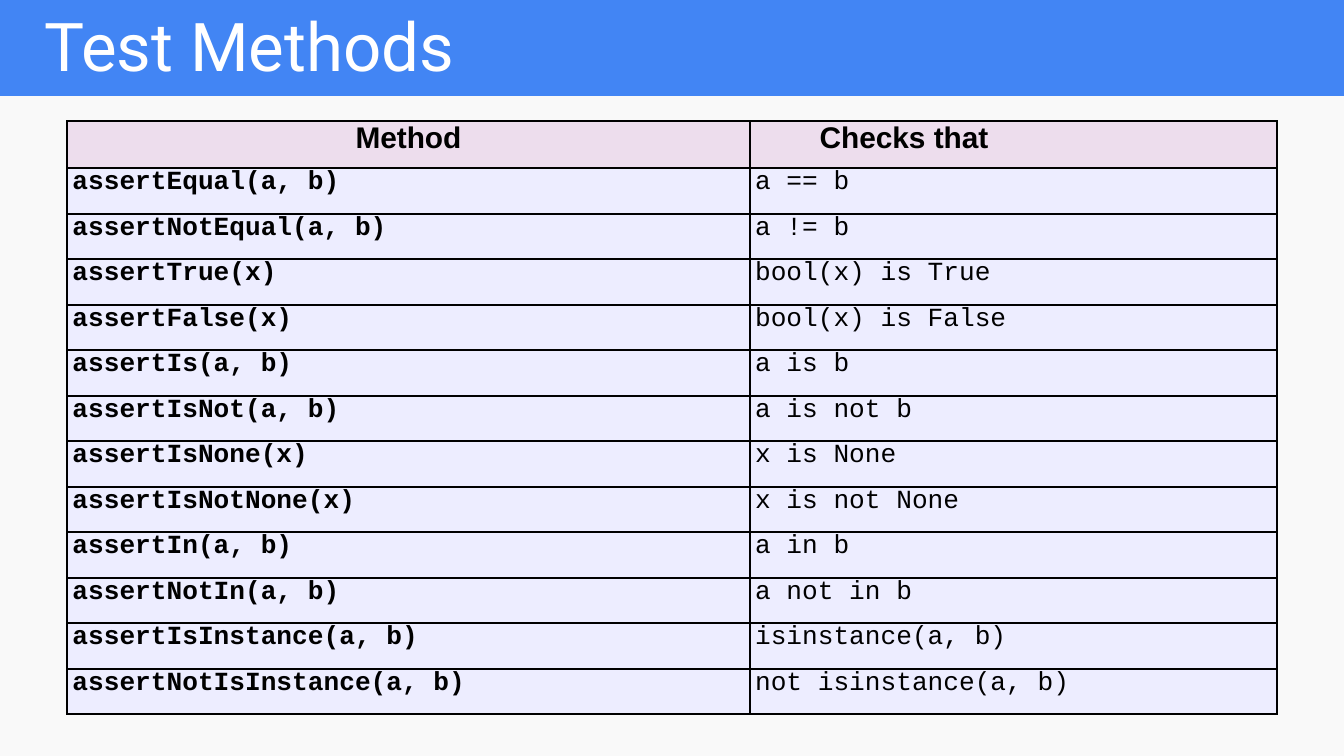
from dataclasses import dataclass
from lxml.etree import SubElement
from pptx import Presentation
from pptx.dml.color import RGBColor
from pptx.enum.shapes import MSO_SHAPE
from pptx.enum.text import MSO_ANCHOR, PP_ALIGN
from pptx.oxml.ns import qn
from pptx.util import Cm, Pt

TITLE = "Test Methods"
HEADINGS = ("Method", "Checks that")
CHECKS = [
    ("assertEqual(a, b)", "a == b"),
    ("assertNotEqual(a, b)", "a != b"),
    ("assertTrue(x)", "bool(x) is True"),
    ("assertFalse(x)", "bool(x) is False"),
    ("assertIs(a, b)", "a is b"),
    ("assertIsNot(a, b)", "a is not b"),
    ("assertIsNone(x)", "x is None"),
    ("assertIsNotNone(x)", "x is not None"),
    ("assertIn(a, b)", "a in b"),
    ("assertNotIn(a, b)", "a not in b"),
    ("assertIsInstance(a, b)", "isinstance(a, b)"),
    ("assertNotIsInstance(a, b)", "not isinstance(a, b)"),
]


@dataclass(frozen=True)
class Theme:
    band: str = "4285F4"
    backdrop: str = "F9F9F9"
    title: str = "FFFFFF"
    ink: str = "000000"
    heading_fill: str = "EDDDED"
    check_fill: str = "EDEDFF"
    title_font: str = "Roboto"
    heading_font: str = "Arial"
    code_font: str = "Courier New"
    title_size: int = 36
    heading_size: int = 16
    code_size: int = 14
    border: int = 1


THEME = Theme()
PAGE_WIDTH, PAGE_HEIGHT = Cm(25.4), Cm(14.29)
BAND_HEIGHT = Cm(1.82)
COLUMN_WIDTHS = (Cm(12.9), Cm(9.96))
HEADING_HEIGHT, CHECK_HEIGHT = Cm(0.89), Cm(0.86)


def add_panel(page, top, height, color):
    panel = page.shapes.add_shape(MSO_SHAPE.RECTANGLE, 0, top, PAGE_WIDTH, height)
    panel.shadow.inherit = False
    panel.fill.solid()
    panel.fill.fore_color.rgb = RGBColor.from_string(color)
    panel.line.fill.background()


def add_span(para, text, font, size, color, bold=False):
    span = para.add_run()
    span.text = text
    span.font.name = font
    span.font.size = Pt(size)
    span.font.bold = bold
    span.font.color.rgb = RGBColor.from_string(color)


def clear_margins(box):
    box.margin_left = box.margin_right = box.margin_top = box.margin_bottom = 0


def add_borders(cell):
    properties = cell._tc.get_or_add_tcPr()
    for place, side in enumerate(("lnL", "lnR", "lnT", "lnB")):
        line = SubElement(properties, qn(f"a:{side}"), w=str(Pt(THEME.border)))
        properties.insert(place, line)
        fill = SubElement(line, qn("a:solidFill"))
        SubElement(fill, qn("a:srgbClr"), val=THEME.ink)


def fill_cell(cell, text, fill, font, size, bold, indent, before, align):
    clear_margins(cell)
    cell.fill.solid()
    cell.fill.fore_color.rgb = RGBColor.from_string(fill)
    add_borders(cell)
    para = cell.text_frame.paragraphs[0]
    para.alignment = align
    para.space_before = Pt(before)
    properties = para._p.get_or_add_pPr()
    properties.set("marL", str(indent))
    properties.set("indent", "0")
    add_span(para, text, font, size, THEME.ink, bold)


deck = Presentation()
deck.slide_width, deck.slide_height = PAGE_WIDTH, PAGE_HEIGHT
page = deck.slides.add_slide(deck.slide_layouts[6])

add_panel(page, 0, BAND_HEIGHT, THEME.band)
add_panel(page, BAND_HEIGHT, PAGE_HEIGHT - BAND_HEIGHT, THEME.backdrop)

title_box = page.shapes.add_textbox(Cm(0.84), 0, Cm(23.09), Cm(1.6)).text_frame
title_box.word_wrap = True
title_box.vertical_anchor = MSO_ANCHOR.BOTTOM
clear_margins(title_box)
add_span(title_box.paragraphs[0], TITLE, THEME.title_font, THEME.title_size, THEME.title)

table = page.shapes.add_table(
    len(CHECKS) + 1, len(HEADINGS), Cm(1.27), Cm(2.29),
    sum(COLUMN_WIDTHS), HEADING_HEIGHT + CHECK_HEIGHT * len(CHECKS),
).table
table.first_row = table.horz_banding = False
for column, width in zip(table.columns, COLUMN_WIDTHS):
    column.width = width

for row_index, texts in enumerate((HEADINGS, *CHECKS)):
    is_heading = row_index == 0
    table.rows[row_index].height = HEADING_HEIGHT if is_heading else CHECK_HEIGHT
    for column_index, text in enumerate(texts):
        cell = table.cell(row_index, column_index)
        is_method = column_index == 0
        if is_heading:
            indent = 0 if is_method else Cm(1.32)
            align = PP_ALIGN.CENTER if is_method else PP_ALIGN.LEFT
            fill_cell(cell, text, THEME.heading_fill, THEME.heading_font,
                      THEME.heading_size, True, indent, 0.9, align)
        else:
            fill_cell(cell, text, THEME.check_fill, THEME.code_font,
                      THEME.code_size, is_method, Cm(0.1),
                      1.1 if is_method else 1.3, PP_ALIGN.LEFT)

deck.save("out.pptx")
